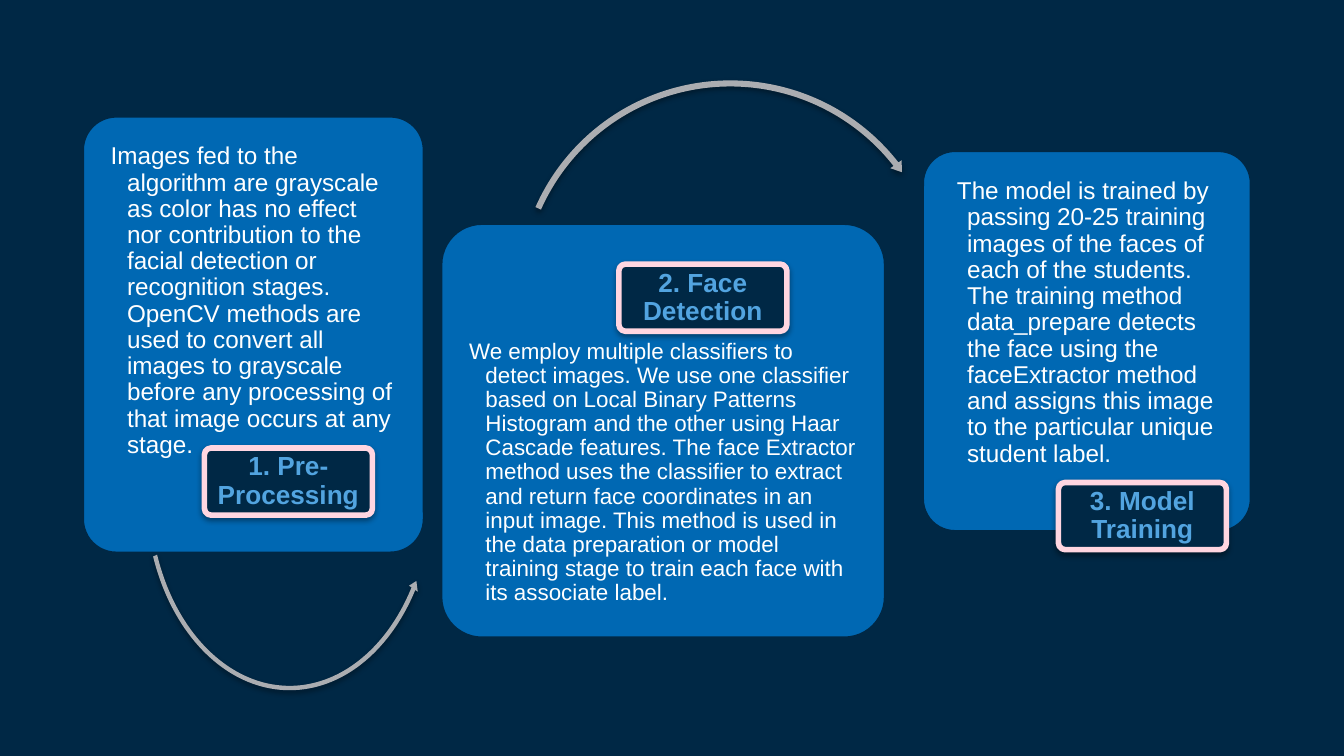
"""Build the slide on the three stages of face recognition."""
from dataclasses import dataclass

from lxml import etree
from pptx import Presentation
from pptx.dml.color import RGBColor
from pptx.enum.shapes import MSO_SHAPE
from pptx.enum.text import MSO_ANCHOR, PP_ALIGN
from pptx.oxml.ns import qn
from pptx.util import Pt

ROUND = MSO_SHAPE.ROUNDED_RECTANGLE
ARC_OVER = MSO_SHAPE.CIRCULAR_ARROW
ARC_UNDER = MSO_SHAPE.LEFT_CIRCULAR_ARROW
LEFT, CENTER = PP_ALIGN.LEFT, PP_ALIGN.CENTER
TOP, MIDDLE = MSO_ANCHOR.TOP, MSO_ANCHOR.MIDDLE


@dataclass(frozen=True)
class Theme:
    navy: str = "002845"
    blue: str = "0070C0"
    sky: str = "52A4E0"
    pink: str = "FFD6E1"
    gray: str = "ABADB1"
    white: str = "FFFFFF"
    black: str = "000000"
    font: str = "Arial"
    body: float = 13
    small: float = 12
    label: float = 14


def rgb(code):
    return RGBColor.from_string(code)


def add_alpha(color, percent):
    etree.SubElement(color, qn("a:alpha"), val=str(percent * 1000))


def write(frame, text, *, font, size, color, bold=False, align=LEFT,
          anchor=TOP, inset=(0, 0), hang=0):
    frame.word_wrap = True
    frame.vertical_anchor = anchor
    frame.margin_left = frame.margin_right = Pt(inset[0])
    frame.margin_top = frame.margin_bottom = Pt(inset[1])
    para = frame.paragraphs[0]
    para.alignment = align
    para.line_spacing = 0.9
    if hang:
        props = para._p.get_or_add_pPr()
        props.set("marL", str(Pt(hang)))
        props.set("indent", str(-Pt(hang)))
    run = para.add_run()
    run.text = text
    run.font.name = font
    run.font.size = Pt(size)
    run.font.bold = bold
    run.font.color.rgb = rgb(color)


class Deck:
    def __init__(self, theme):
        self.theme = theme
        self.file = Presentation()
        self.file.slide_width, self.file.slide_height = Pt(720), Pt(405)
        self.slide = self.file.slides.add_slide(self.file.slide_layouts[6])
        fill = self.slide.background.fill
        fill.solid()
        fill.fore_color.rgb = rgb(theme.navy)

    def shape(self, kind, box, fill, adjust, line=None, width=0, shade=False):
        shape = self.slide.shapes.add_shape(kind, *map(Pt, box))
        shape.shadow.inherit = False
        for index, value in enumerate(adjust):
            shape.adjustments[index] = value
        shape.fill.solid()
        shape.fill.fore_color.rgb = rgb(fill)
        if line:
            shape.line.color.rgb = rgb(line)
            shape.line.width = Pt(width)
        else:
            shape.line.fill.background()
        if shade:
            self.shade(shape)
        return shape

    def shade(self, shape):
        effects = shape._element.spPr.find(qn("a:effectLst"))
        outer = etree.SubElement(
            effects, qn("a:outerShdw"), blurRad=str(Pt(3.1)),
            dist=str(Pt(1.6)), dir="5400000", rotWithShape="0")
        color = etree.SubElement(outer, qn("a:srgbClr"), val=self.theme.black)
        add_alpha(color, 38)

    def text(self, box, words, **style):
        frame = self.slide.shapes.add_textbox(*map(Pt, box)).text_frame
        write(frame, words, font=self.theme.font, **style)

    def card(self, box, top, height, words, size):
        theme = self.theme
        card = self.shape(ROUND, box, theme.blue, [0.1], theme.navy, 2)
        fill = card._element.spPr.find(qn("a:solidFill"))
        add_alpha(fill[0], 90)
        left, _, width, _ = box
        self.text((left + 5.3, top, width - 10.6, height), words, size=size,
                  color=theme.white, inset=(10, 10), hang=8.8)

    def label(self, left, top, words):
        theme = self.theme
        self.shape(ROUND, (left, top, 90, 36), theme.navy, [0.1],
                   theme.pink, 3, shade=True)
        self.text((left + 1, top + 1, 88, 34), words, size=theme.label,
                  color=theme.sky, bold=True, align=CENTER, anchor=MIDDLE,
                  inset=(2, 1.4))

    def arrow(self, kind, box, adjust):
        self.shape(kind, box, self.theme.gray, adjust, shade=True)


def main():
    theme = Theme()
    deck = Deck(theme)
    deck.card(
        (44, 62, 183.5, 234.5), 67, 173.5,
        "Images fed to the algorithm are grayscale as color has no effect nor "
        "contribution to the facial detection or recognition stages. OpenCV "
        "methods are used to convert all images to grayscale before any "
        "processing of that image occurs at any stage.", theme.body)
    deck.arrow(ARC_UNDER, (76.3, 157.7, 157.7, 213.8),
               (0.015, 1.78, 22.482, 93.191, 0.018))
    deck.label(109.5, 240, "1. Pre-Processing")
    deck.card(
        (236, 119.5, 238.5, 222.5), 172, 164,
        "We employ multiple classifiers to detect images. We use one "
        "classifier based on Local Binary Patterns Histogram and the other "
        "using Haar Cascade features. The face Extractor method uses the "
        "classifier to extract and return face coordinates in an input image. "
        "This method is used in the data preparation or model training stage "
        "to train each face with its associate label.", theme.small)
    deck.arrow(ARC_OVER, (275, 41, 232.6, 232.6),
               (0.014, 1.631, 193.212, 122.353, 0.016))
    deck.label(331.5, 141.5, "2. Face Detection")
    deck.card(
        (494, 80.5, 176.5, 204.5), 85.7, 151,
        " The model is trained by passing 20-25 training images of the faces "
        "of each of the students. The training method data_prepare detects "
        "the face using the faceExtractor method and assigns this image to "
        "the particular unique student label.", theme.body)
    deck.label(567, 258.5, "3. Model Training")
    deck.file.save("out.pptx")


if __name__ == "__main__":
    main()
